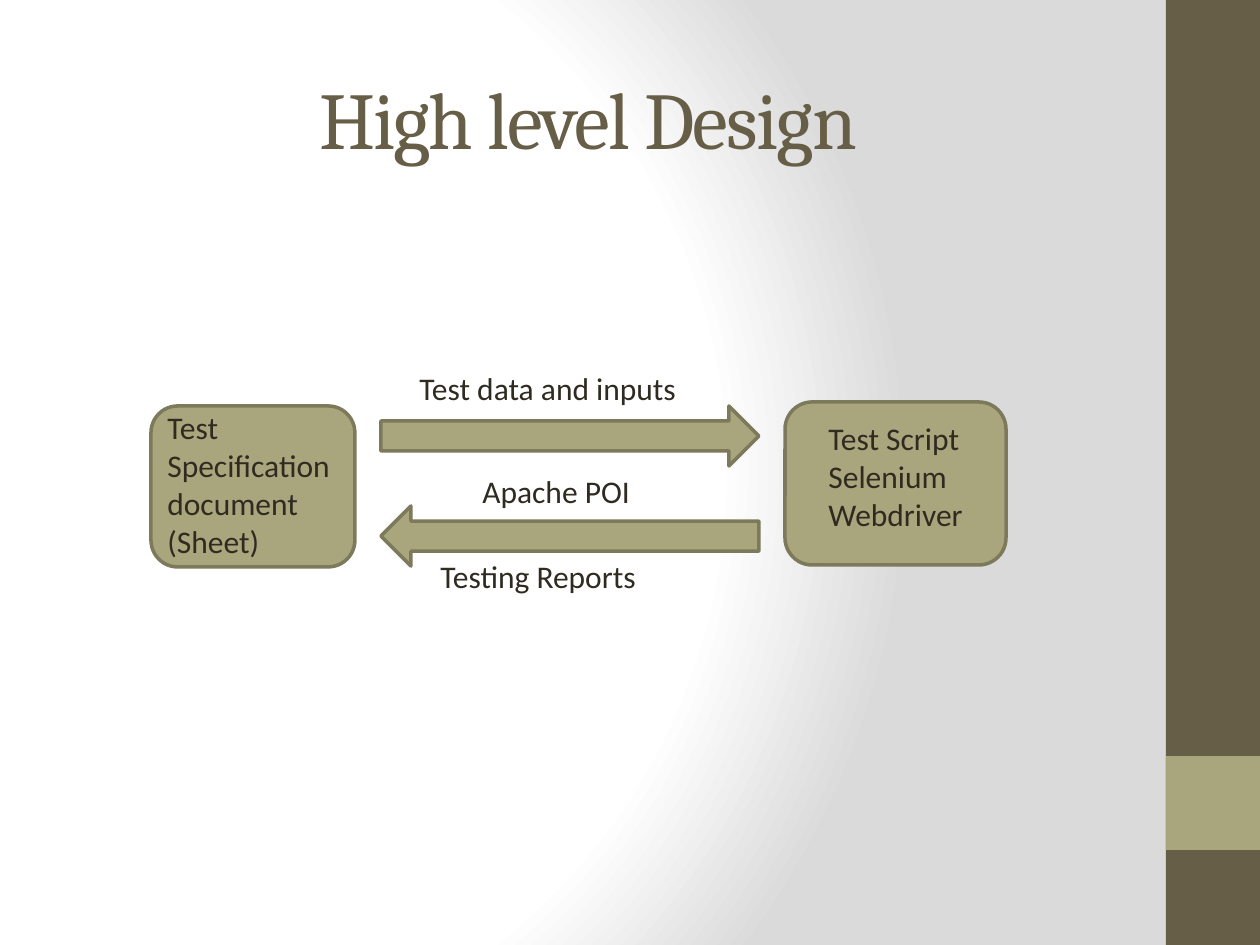
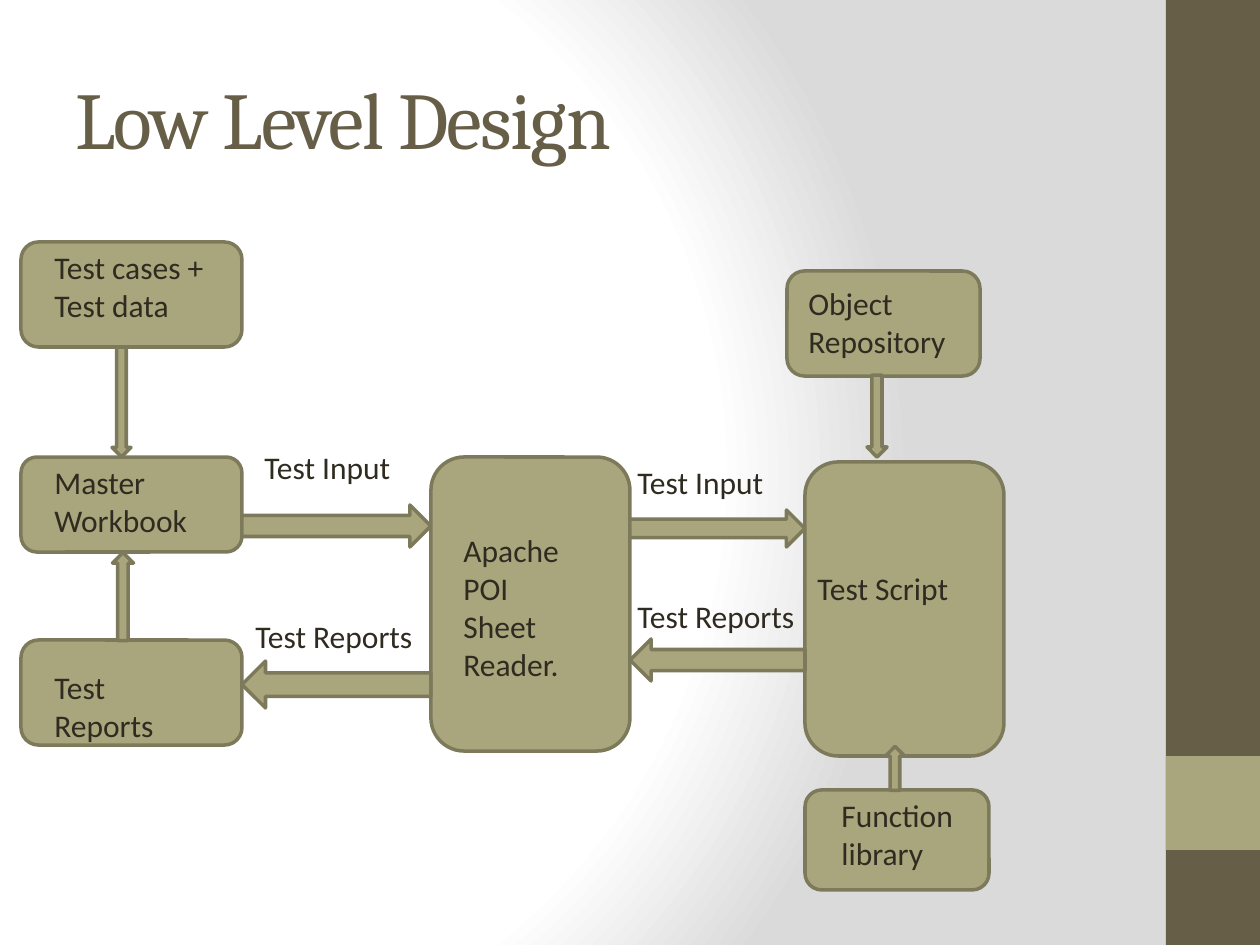
import dataclasses

import pptx
import pptx.dml.color
import pptx.enum.shapes
import pptx.enum.text
import pptx.oxml
import pptx.oxml.ns
import pptx.util

SHAPE = pptx.enum.shapes.MSO_SHAPE
ALIGN = pptx.enum.text.PP_ALIGN
ANCHOR = pptx.enum.text.MSO_ANCHOR
PX_PER_INCH = 126


@dataclasses.dataclass(frozen=True)
class Theme:
    brown: str = "675E47"
    olive: str = "A9A57C"
    outline: str = "7D7A5C"
    ink: str = "2F2B20"
    glow: str = "FFFFFF"
    edge: str = "DADADA"
    title_font: str = "Cambria"
    body_font: str = "Calibri"
    title_size: int = 46
    body_size: int = 18
    outline_width: int = 2


THEME = Theme()


def emu(px):
    return pptx.util.Emu(round(px * pptx.util.Inches(1) / PX_PER_INCH))


def place(*lengths):
    return [emu(length) for length in lengths]


def rgb(colour):
    return pptx.dml.color.RGBColor.from_string(colour)


# Elements
def add_text(slide, text, at, size=THEME.body_size, font=THEME.body_font,
             colour=THEME.ink, align=ALIGN.LEFT, anchor=ANCHOR.TOP, spacing=0):
    """Write text in a box; each line of the string is a paragraph."""
    frame = slide.shapes.add_textbox(*place(*at)).text_frame
    frame.word_wrap = True
    frame.vertical_anchor = anchor
    frame.text = text
    for paragraph in frame.paragraphs:
        paragraph.alignment = align
        for run in paragraph.runs:
            run.font.size = pptx.util.Pt(size)
            run.font.name = font
            run.font.color.rgb = rgb(colour)
            if spacing:
                run.font._element.set("spc", str(spacing * 100))


def add_block(slide, kind, at, fill=THEME.olive, outlined=True, rotation=0):
    block = slide.shapes.add_shape(kind, *place(*at))
    block.shadow.inherit = False
    block.rotation = rotation
    block.fill.solid()
    block.fill.fore_color.rgb = rgb(fill)
    if outlined:
        block.line.color.rgb = rgb(THEME.outline)
        block.line.width = pptx.util.Pt(THEME.outline_width)
        pptx.oxml.ns.qn("a:round")
        block.line._ln.append(pptx.oxml.parse_xml(
            f'<a:round {pptx.oxml.ns.nsdecls("a")}/>'))
    else:
        block.line.fill.background()


def add_node(slide, text, box, text_at):
    add_block(slide, SHAPE.ROUNDED_RECTANGLE, box)
    add_text(slide, text, text_at)


def add_arrow(slide, at, rotation=0):
    add_block(slide, SHAPE.RIGHT_ARROW, at, rotation=rotation)


def paint_background(slide):
    slide.background.fill.gradient()
    gradient = next(slide.element.iter(pptx.oxml.ns.qn("a:gradFill")))
    stops = ((0, THEME.glow), (75, THEME.glow), (100, THEME.edge))
    stop_xml = "".join(
        f'<a:gs pos="{percent * 1000}"><a:srgbClr val="{colour}"/></a:gs>'
        for percent, colour in stops)
    radial = pptx.oxml.parse_xml(
        f'<a:gradFill {pptx.oxml.ns.nsdecls("a")} rotWithShape="1">'
        f'<a:gsLst>{stop_xml}</a:gsLst><a:path path="circle">'
        '<a:fillToRect l="20000" t="50000" r="100000" b="50000"/>'
        '</a:path></a:gradFill>')
    gradient.getparent().replace(gradient, radial)


def add_design_slide(deck, title, align):
    slide = deck.slides.add_slide(deck.slide_layouts[6])
    paint_background(slide)
    # Side band with its accent
    add_block(slide, SHAPE.RECTANGLE, (1166, 0, 94, 945), THEME.brown, False)
    add_block(slide, SHAPE.RECTANGLE, (1166, 756, 94, 94), THEME.olive, False)
    add_text(slide, title, (63, 38, 1050, 158), size=THEME.title_size,
             font=THEME.title_font, colour=THEME.brown, align=align,
             anchor=ANCHOR.MIDDLE, spacing=-1)
    return slide


# Slides
def build_high_level(deck):
    slide = add_design_slide(deck, "High level Design", ALIGN.CENTER)

    add_node(slide, "Test Specification document (Sheet)",
             (151, 406, 204, 161), (155, 402, 242, 165))
    add_node(slide, "Test Script\nSelenium Webdriver",
             (785, 402, 221, 163), (816, 413, 210, 165))

    # Data goes out to the script, reports come back
    add_arrow(slide, (381, 406, 378, 60))
    add_arrow(slide, (381, 506, 378, 60), rotation=180)

    for label, left, top, width in (
            ("Test data and inputs", 407, 363, 294),
            ("Apache POI", 470, 466, 262),
            ("Testing Reports", 428, 551, 273)):
        add_text(slide, label, (left, top, width, 50))


def build_low_level(deck):
    slide = add_design_slide(deck, "Low Level Design", ALIGN.LEFT)

    # Components: text, box, text area
    for text, box, text_at in (
            ("Test cases + Test data", (21, 242, 221, 105), (42, 242, 179, 89)),
            ("Master Workbook", (21, 457, 221, 95), (42, 457, 199, 89)),
            ("Test Reports", (21, 640, 221, 105), (42, 662, 179, 89)),
            ("Apache POI Sheet Reader.", (431, 457, 199, 294), (451, 525, 147, 127)),
            ("Test Script", (805, 462, 199, 294), (805, 563, 213, 50)),
            ("Object Repository", (787, 271, 193, 105), (796, 278, 184, 89)),
            ("Function library", (805, 790, 184, 100), (829, 790, 150, 89))):
        add_node(slide, text, box, text_at)

    # Inputs run right, reports run left
    for at, rotation in (
            ((242, 505, 189, 42), 0),
            ((242, 661, 189, 47), 180),
            ((630, 510, 175, 37), 0),
            ((630, 639, 175, 42), 180)):
        add_arrow(slide, at, rotation)

    # Feeds from above and below
    for feed in ((112, 347, 19, 110), (867, 375, 20, 82)):
        add_block(slide, SHAPE.DOWN_ARROW, feed)
    for feed in ((79, 586, 88, 21), (873, 759, 44, 19)):
        add_arrow(slide, feed, rotation=270)

    for label, left, top, width in (
            ("Test Input", 252, 442, 168),
            ("Test Reports", 243, 611, 199),
            ("Test Input", 625, 457, 168),
            ("Test Reports", 625, 591, 199)):
        add_text(slide, label, (left, top, width, 50))


def main():
    deck = pptx.Presentation()
    deck.slide_width, deck.slide_height = place(1260, 945)
    build_high_level(deck)
    build_low_level(deck)
    deck.save("out.pptx")


if __name__ == "__main__":
    main()
